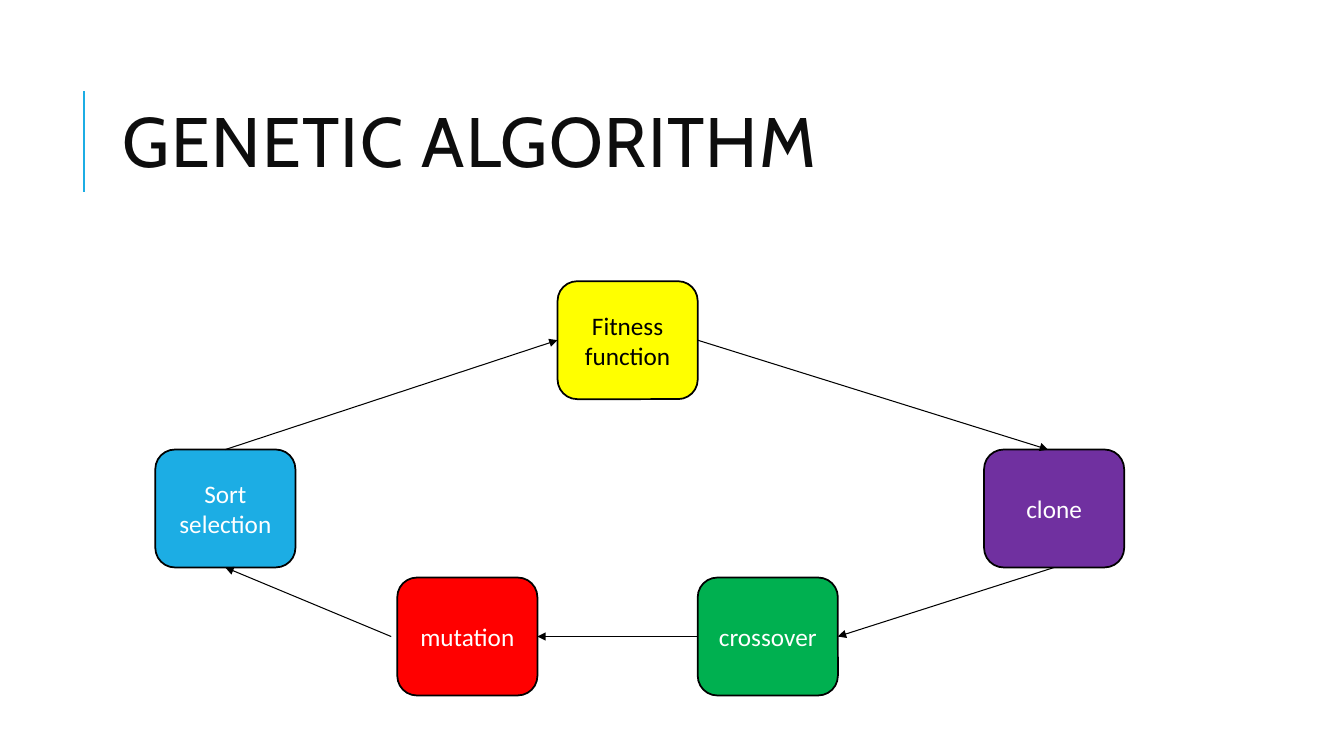
import pptx
import pptx.util
import pptx.dml.color
import pptx.enum.shapes
import pptx.enum.text
import pptx.oxml.ns
import lxml.etree

SLIDE_SIZE = (13.33, 7.5)
STEP_SIZE = (1.39, 1.17)
TITLE = "GENETIC ALGORITHM"
COLOURS = {
    "accent": "1CADE4",
    "title": "0D0D0D",
    "purple": "7030A0",
    "green": "00B050",
    "red": "FF0000",
    "yellow": "FFFF00",
    "black": "000000",
    "white": "FFFFFF",
}
ROWS = {"top": 2.79, "middle": 4.46, "bottom": 5.73}
STEPS = {
    "Sort selection": (1.54, "middle", "accent", "white"),
    "clone": (9.76, "middle", "purple", "white"),
    "crossover": (6.92, "bottom", "green", "white"),
    "mutation": (3.94, "bottom", "red", "white"),
    "Fitness function": (5.53, "top", "yellow", "black"),
}
SIDES = {"left": (0, 0.5), "right": (1, 0.5), "top": (0.5, 0), "bottom": (0.5, 1)}
FLOW = [
    ("Sort selection", "top", 0, "Fitness function", "left", 0),
    ("Fitness function", "right", 0, "clone", "top", -0.06),
    ("clone", "bottom", 0, "crossover", "right", 0),
    ("crossover", "left", 0, "mutation", "right", 0),
    ("mutation", "left", -0.06, "Sort selection", "bottom", 0),
]


def inches(values):
    return [pptx.util.Inches(value) for value in values]


def colour(name):
    return pptx.dml.color.RGBColor.from_string(COLOURS[name])


def write(frame, text, size, font, ink):
    frame.word_wrap = True
    frame.vertical_anchor = pptx.enum.text.MSO_ANCHOR.MIDDLE
    paragraph = frame.paragraphs[0]
    run = paragraph.add_run()
    run.text = text
    run.font.size = pptx.util.Pt(size)
    run.font.name = font
    run.font.color.rgb = colour(ink)
    return paragraph, run


def draw_line(slide, start, end, ink, width, arrow=False):
    line = slide.shapes.add_connector(
        pptx.enum.shapes.MSO_CONNECTOR.STRAIGHT, *inches(start + end)
    )
    line.line.color.rgb = colour(ink)
    line.line.width = pptx.util.Pt(width)
    properties = line._element.spPr
    if arrow:
        outline = properties.find(pptx.oxml.ns.qn("a:ln"))
        lxml.etree.SubElement(outline, pptx.oxml.ns.qn("a:tailEnd"), type="triangle")
    lxml.etree.SubElement(properties, pptx.oxml.ns.qn("a:effectLst"))


def draw_title(slide):
    draw_line(slide, (0.83, 1.9), (0.83, 0.9), "accent", 1.5)
    heading = slide.shapes.add_textbox(*inches((1.12, 0.64, 10.63, 1.64)))
    paragraph, run = write(heading.text_frame, TITLE, 50, "Cabin", "title")
    paragraph.line_spacing = 0.8
    run.font._element.set("spc", "100")


def draw_step(slide, label):
    left, row, fill, ink = STEPS[label]
    step = slide.shapes.add_shape(
        pptx.enum.shapes.MSO_SHAPE.ROUNDED_RECTANGLE,
        *inches((left, ROWS[row]) + STEP_SIZE),
    )
    step.shadow.inherit = False
    step.fill.solid()
    step.fill.fore_color.rgb = colour(fill)
    step.line.color.rgb = colour("black")
    step.line.width = pptx.util.Pt(1.25)
    paragraph, run = write(step.text_frame, label, 18, "Calibri", ink)
    paragraph.alignment = pptx.enum.text.PP_ALIGN.CENTER


def anchor(label, side, shift):
    left, row = STEPS[label][:2]
    across, down = SIDES[side]
    return (left + across * STEP_SIZE[0] + shift, ROWS[row] + down * STEP_SIZE[1])


def main():
    deck = pptx.Presentation()
    deck.slide_width, deck.slide_height = inches(SLIDE_SIZE)
    slide = deck.slides.add_slide(deck.slide_layouts[6])
    draw_title(slide)
    for label in STEPS:
        draw_step(slide, label)
    for source, exit_side, exit_shift, target, entry_side, entry_shift in FLOW:
        start = anchor(source, exit_side, exit_shift)
        end = anchor(target, entry_side, entry_shift)
        draw_line(slide, start, end, "black", 0.75, arrow=True)
    deck.save("out.pptx")


if __name__ == "__main__":
    main()
